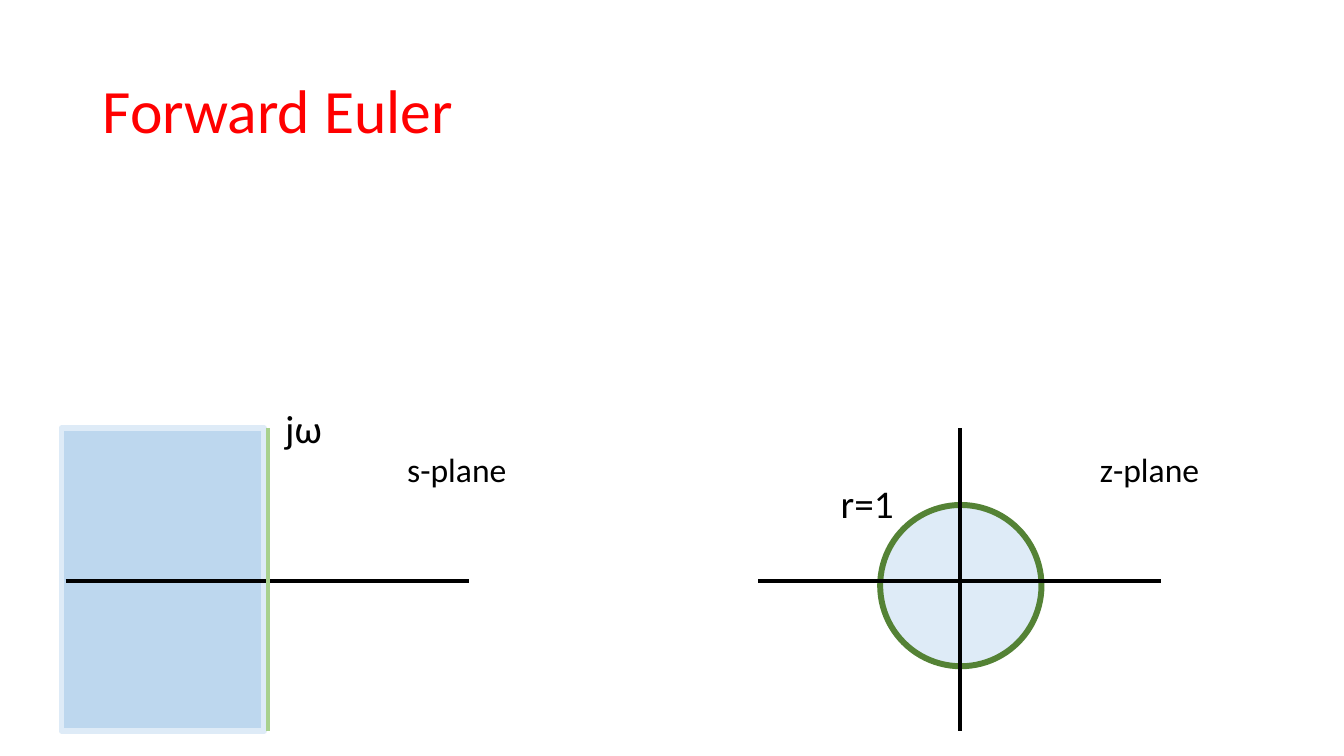
from lxml.etree import SubElement
from pptx import Presentation
from pptx.dml.color import RGBColor
from pptx.enum.shapes import MSO_CONNECTOR as Connector, MSO_SHAPE as Preset
from pptx.enum.text import MSO_ANCHOR as Anchor
from pptx.oxml.ns import qn
from pptx.util import Inches, Pt

RED = RGBColor(0xFF, 0x00, 0x00)
BLACK = RGBColor(0x00, 0x00, 0x00)
BLUE = RGBColor(0xBD, 0xD7, 0xEE)
PALE_BLUE = RGBColor(0xDE, 0xEB, 0xF7)
LIGHT_GREEN = RGBColor(0xA9, 0xD1, 0x8E)
DARK_GREEN = RGBColor(0x54, 0x82, 0x35)

AXIS_TOP = 4.25
AXIS_HEIGHT = 3
AXIS_WIDTH = 4
REAL_AXIS_Y = AXIS_TOP + AXIS_HEIGHT / 2 + 0.01


class SlideBuilder:
    font_name = "Calibri"
    outline_width = Pt(4.25)
    axis_line_width = Pt(2.75)

    def __init__(self, slide):
        self.slide = slide

    def text(self, words, left, top, width, height, size,
             color=BLACK, anchor=Anchor.TOP, line_spacing=1.0):
        box = self.slide.shapes.add_textbox(
            Inches(left), Inches(top), Inches(width), Inches(height))
        frame = box.text_frame
        frame.word_wrap = True
        frame.vertical_anchor = anchor
        paragraph = frame.paragraphs[0]
        paragraph.line_spacing = line_spacing
        run = paragraph.add_run()
        run.text = words
        run.font.name = self.font_name
        run.font.size = Pt(size)
        run.font.color.rgb = color

    def region(self, preset, left, top, width, height, fill, outline):
        shape = self.slide.shapes.add_shape(
            preset, Inches(left), Inches(top), Inches(width), Inches(height))
        shape.shadow.inherit = False
        shape.fill.solid()
        shape.fill.fore_color.rgb = fill
        shape.line.color.rgb = outline
        shape.line.width = self.outline_width

    def line(self, x1, y1, x2, y2, color):
        connector = self.slide.shapes.add_connector(
            Connector.STRAIGHT, Inches(x1), Inches(y1), Inches(x2), Inches(y2))
        connector.line.color.rgb = color
        connector.line.width = self.axis_line_width
        SubElement(connector._element.spPr, qn("a:effectLst"))

    def plane(self, name, left, imaginary_x, imaginary_color):
        self.line(left, REAL_AXIS_Y, left + AXIS_WIDTH, REAL_AXIS_Y, BLACK)
        self.line(imaginary_x, AXIS_TOP, imaginary_x, AXIS_TOP + AXIS_HEIGHT,
                  imaginary_color)
        self.text(name, left + 3.29, 4.4, 1.6, 0.5, 24)


def main():
    presentation = Presentation()
    presentation.slide_width = Inches(13.33)
    presentation.slide_height = Inches(7.5)
    slide = presentation.slides.add_slide(presentation.slide_layouts[6])
    builder = SlideBuilder(slide)

    builder.text("Forward Euler", 0.92, 0.4, 4.17, 1.45, 44,
                 RED, Anchor.MIDDLE, 0.9)

    builder.region(Preset.RECTANGLE, 0.61, AXIS_TOP, 2.01, AXIS_HEIGHT,
                   BLUE, PALE_BLUE)
    builder.plane("s-plane", 0.65, 2.66, LIGHT_GREEN)
    builder.text("jω", 2.73, 3.96, 0.65, 0.57, 28)

    builder.region(Preset.OVAL, 8.73, 5.01, 1.6, 1.6, PALE_BLUE, DARK_GREEN)
    builder.plane("z-plane", 7.52, 9.52, BLACK)
    builder.text("r=1", 8.24, 4.71, 1, 0.57, 28)

    presentation.save("out.pptx")


if __name__ == "__main__":
    main()
